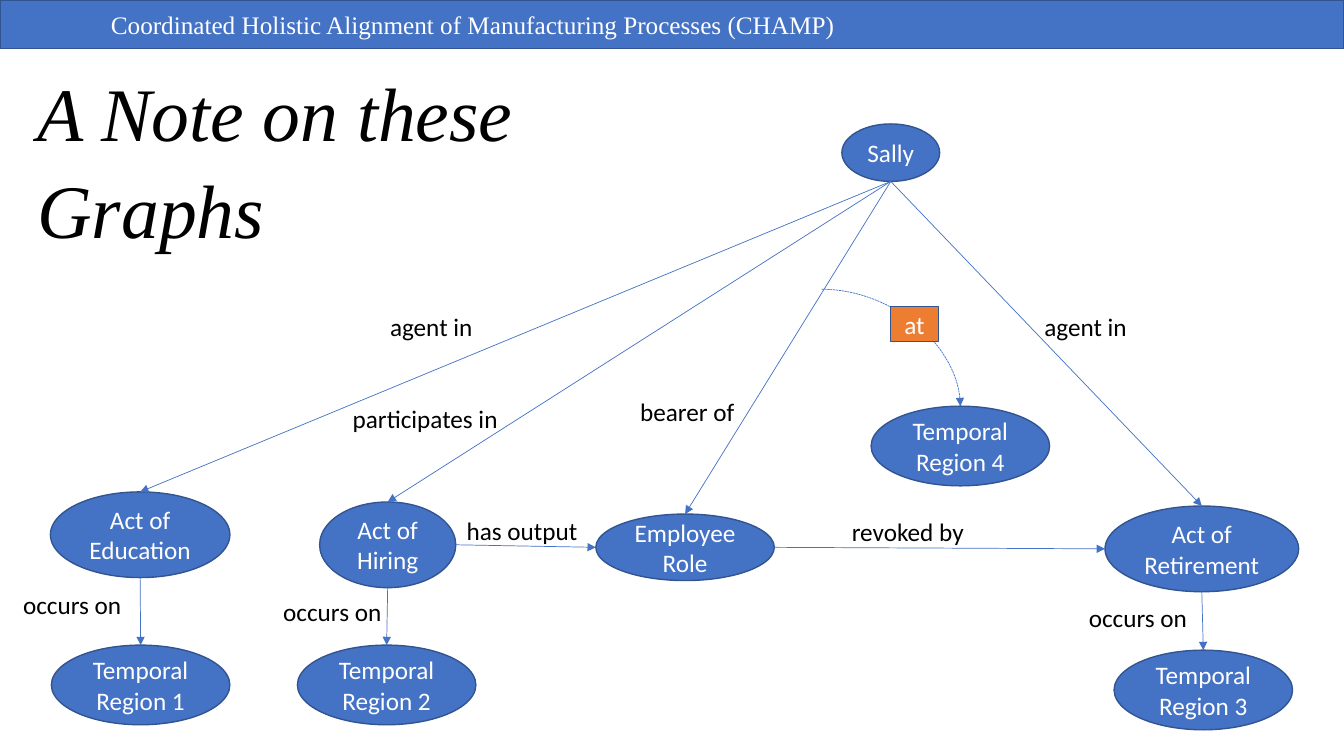
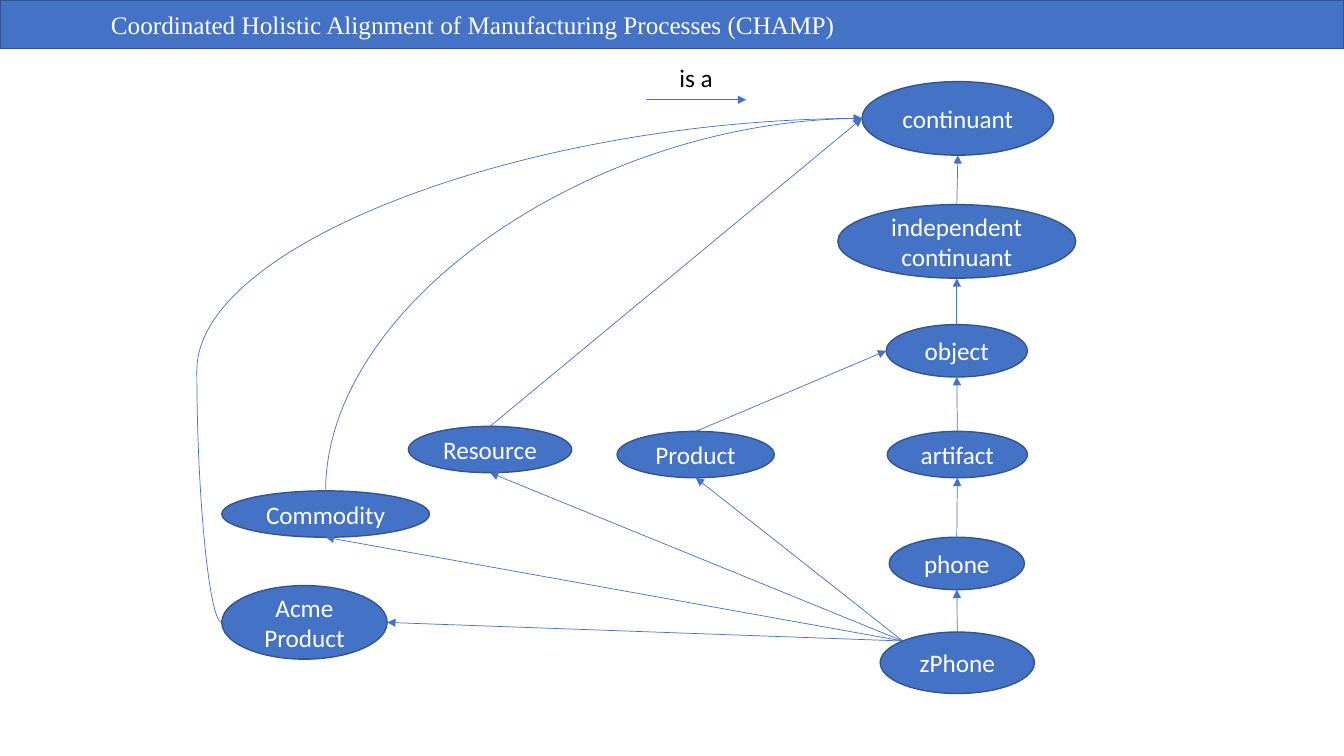
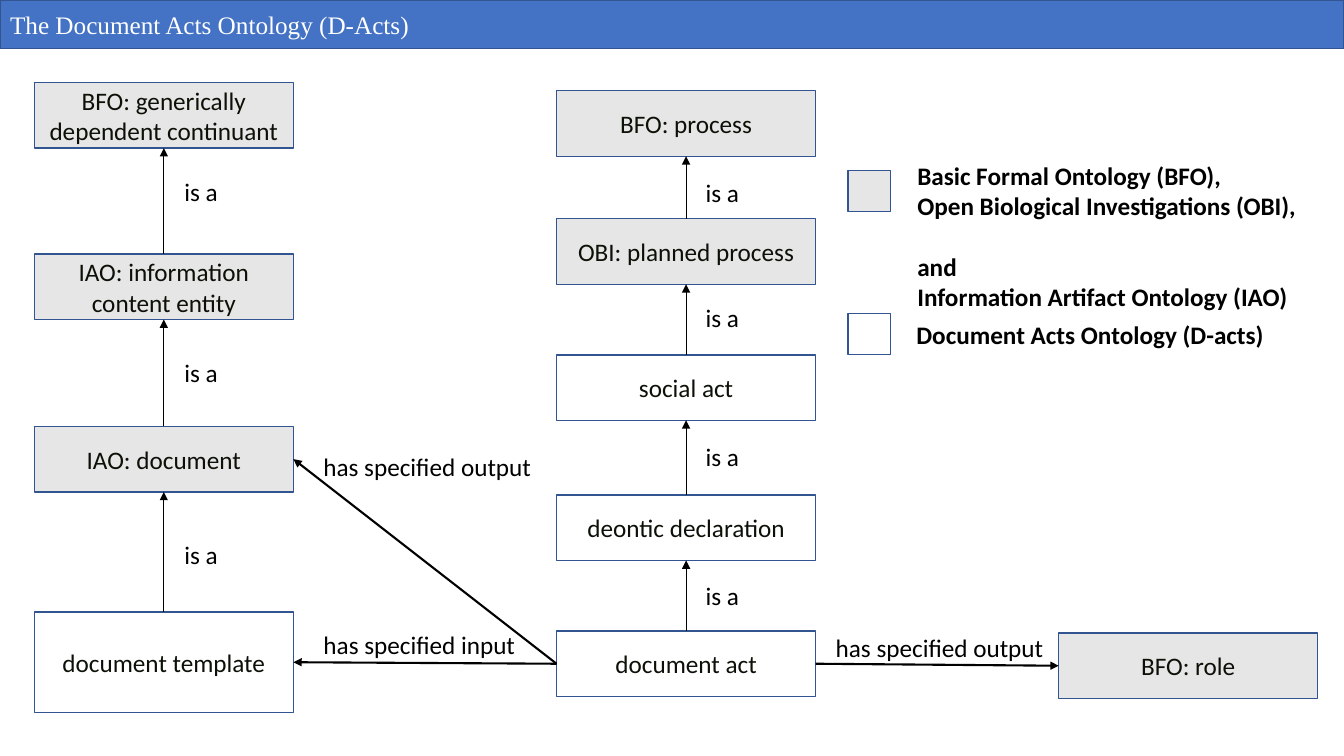
"""Build three slides of ontology graphs under a shared header band."""
import itertools

import pptx
import pptx.dml.color
import pptx.enum.dml
import pptx.enum.shapes
import pptx.enum.text
import pptx.oxml
import pptx.oxml.ns
import pptx.util

Inches = pptx.util.Inches
Pt = pptx.util.Pt
SHAPE = pptx.enum.shapes.MSO_SHAPE
CONNECTOR = pptx.enum.shapes.MSO_CONNECTOR
ALIGN = pptx.enum.text.PP_ALIGN
ANCHOR = pptx.enum.text.MSO_ANCHOR
FIT = pptx.enum.text.MSO_AUTO_SIZE

COLORS = {
    "blue": "4472C4",
    "outline": "325491",
    "orange": "ED7D31",
    "grey": "E7E6E6",
    "white": "FFFFFF",
    "black": "000000",
    "ink": "0B1107",
}
SANS, SERIF = "Calibri", "Times New Roman"
PROJECT = "Coordinated Holistic Alignment of Manufacturing Processes (CHAMP)"
SIDES = {
    "top": (0.5, 0),
    "corner": (0.146, 0.146),
    "left": (0, 0.5),
    "bottom": (0.5, 1),
    "right": (1, 0.5),
}
SITES = {
    SHAPE.OVAL: {"top": 0, "corner": 1, "left": 2, "bottom": 4, "right": 6},
    SHAPE.RECTANGLE: {"top": 0, "left": 1, "bottom": 2, "right": 3},
}


def rgb(name):
    return pptx.dml.color.RGBColor.from_string(COLORS[name])


def place(sp, x, y, w, h):
    sp.left, sp.top, sp.width, sp.height = (Inches(v) for v in (x, y, w, h))


def write(tf, text, color, size=18, font=SANS, align=ALIGN.LEFT, bold=False, italic=False):
    tf.text = text
    for p in tf.paragraphs:
        p.alignment = align
        for r in p.runs:
            r.font.name, r.font.size = font, Pt(size)
            r.font.bold, r.font.italic = bold, italic
            r.font.color.rgb = rgb(color)


def paint(sp, fill):
    sp.fill.solid()
    sp.fill.fore_color.rgb = rgb(fill)
    sp.line.color.rgb = rgb("outline")
    sp.line.width = Pt(1)


def shape(s, kind, at, fill="blue", text="", color="white"):
    sp = s.shapes.add_shape(kind, *(Inches(v) for v in at))
    sp.shadow.inherit = False
    paint(sp, fill)
    sp.text_frame.word_wrap = True
    sp.text_frame.vertical_anchor = ANCHOR.MIDDLE
    if text:
        write(sp.text_frame, text, color, align=ALIGN.CENTER)
    return sp


def ellipses(s, nodes):
    return {text: shape(s, SHAPE.OVAL, at, text=text) for text, at in nodes.items()}


def band(sp, text, indent=0):
    place(sp, 0, 0, 13.33, 0.48)
    paint(sp, "blue")
    tf = sp.text_frame
    tf.auto_size = FIT.NONE
    tf.vertical_anchor = ANCHOR.MIDDLE
    tf.margin_left = Inches(0.1 + indent)
    write(tf, text, "white", font=SERIF)


def label(s, text, x, y, w, h=0.4, wrap=False, bold=False):
    tf = s.shapes.add_textbox(*(Inches(v) for v in (x, y, w, h))).text_frame
    tf.word_wrap = wrap
    tf.auto_size = FIT.SHAPE_TO_FIT_TEXT
    write(tf, text, "black", bold=bold)
    return tf


def point(end):
    """Return the position of a (shape, side) pair or of a plain (x, y) pair."""
    if not isinstance(end[1], str):
        return Inches(end[0]), Inches(end[1])
    sp, side = end
    fx, fy = SIDES[side]
    return int(sp.left + fx * sp.width), int(sp.top + fy * sp.height)


def arrow(s, start, end, color="blue", width=0.5, kind=CONNECTOR.STRAIGHT, tip="tailEnd"):
    c = s.shapes.add_connector(kind, *point(start), *point(end))
    c.line.color.rgb = rgb(color)
    c.line.width = Pt(width)
    glue = c.element.nvCxnSpPr.cNvCxnSpPr
    for target, add in ((start, glue.get_or_add_stCxn), (end, glue.get_or_add_endCxn)):
        if isinstance(target[1], str):
            sp, side = target
            site = add()
            site.id, site.idx = sp.shape_id, SITES[sp.auto_shape_type][side]
    ns = pptx.oxml.ns.nsdecls("a")
    c.line._get_or_add_ln().append(pptx.oxml.parse_xml(f'<a:{tip} {ns} type="triangle"/>'))
    c.element.spPr.append(pptx.oxml.parse_xml(f"<a:effectLst {ns}/>"))
    return c


def curve(s, start, end, bend=None, tip="tailEnd"):
    """Add a quarter curve, or an S curve when a bend is given."""
    c = arrow(s, start, end, kind=CONNECTOR.CURVE, tip=tip)
    geom = c.element.spPr.find(pptx.oxml.ns.qn("a:prstGeom"))
    if bend is None:
        geom.set("prst", "curvedConnector2")
    else:
        guide = f'<a:gd {pptx.oxml.ns.nsdecls("a")} name="adj1" fmla="val {bend}"/>'
        geom.get_or_add_avLst().append(pptx.oxml.parse_xml(guide))
    return c


def employment_slide(s):
    title = s.shapes.title
    place(title, 0.27, 0.54, 7.26, 2.83)
    tf = title.text_frame
    tf.auto_size, tf.vertical_anchor = FIT.NONE, ANCHOR.TOP
    write(tf, "A Note on these Graphs", "black", 54, SERIF, italic=True)
    tf.paragraphs[0].line_spacing = 1.07
    band(shape(s, SHAPE.RECTANGLE, (0, 0, 13.33, 0.48)), PROJECT, indent=1)

    n = ellipses(s, {
        "Sally": (8.35, 1.23, 0.97, 0.57),
        "Act of Education": (0.5, 4.88, 1.78, 0.85),
        "Act of Hiring": (3.17, 4.98, 1.35, 0.85),
        "Employee Role": (5.91, 5.1, 1.77, 0.66),
        "Act of Retirement": (10.96, 5.02, 1.92, 0.85),
        "Temporal Region 1": (0.51, 6.4, 1.77, 0.79),
        "Temporal Region 2": (2.95, 6.4, 1.77, 0.79),
        "Temporal Region 3": (11.05, 6.45, 1.77, 0.79),
        "Temporal Region 4": (8.64, 4.03, 1.77, 0.79),
    })
    for act in ("Act of Education", "Act of Hiring", "Employee Role", "Act of Retirement"):
        arrow(s, (n["Sally"], "bottom"), (n[act], "top"))
    for i, act in enumerate(("Education", "Hiring", "Retirement"), 1):
        arrow(s, (n[f"Act of {act}"], "bottom"), (n[f"Temporal Region {i}"], "top"))
    for a, b in (("Act of Hiring", "Employee Role"), ("Employee Role", "Act of Retirement")):
        arrow(s, (n[a], "right"), (n[b], "left"))
    when = curve(s, (8.15, 2.87), (n["Temporal Region 4"], "top"))
    when.line.dash_style = pptx.enum.dml.MSO_LINE.SQUARE_DOT
    shape(s, SHAPE.RECTANGLE, (8.83, 3.04, 0.48, 0.35), "orange", "at")

    for text, x, y, w in (
        ("agent in", 3.77, 3.04, 1.03),
        ("participates in", 3.4, 3.95, 1.66),
        ("bearer of", 6.25, 3.88, 1.15),
        ("agent in", 10.26, 3.04, 1.03),
        ("has output", 4.53, 5.06, 1.31),
        ("revoked by", 8.35, 5.07, 1.33),
        ("occurs on", 0.13, 5.8, 1.19),
        ("occurs on", 2.71, 5.87, 1.19),
        ("occurs on", 10.7, 5.93, 1.19),
    ):
        label(s, text, x, y, w)


def phone_slide(s):
    band(s.shapes.title, PROJECT, indent=1)
    chain = ellipses(s, {
        "zPhone": (8.73, 6.27, 1.53, 0.61),
        "phone": (8.82, 5.33, 1.34, 0.52),
        "artifact": (8.8, 4.28, 1.39, 0.46),
        "object": (8.79, 3.22, 1.4, 0.52),
        "independent continuant": (8.31, 2.03, 2.36, 0.73),
        "continuant": (8.55, 0.81, 1.9, 0.73),
    })
    for lower, upper in itertools.pairwise(chain.values()):
        arrow(s, (lower, "top"), (upper, "bottom"))

    roles = ellipses(s, {
        "Product": (6.12, 4.28, 1.56, 0.46),
        "Resource": (4.05, 4.23, 1.62, 0.46),
        "Commodity": (2.2, 4.87, 2.06, 0.46),
        "Acme Product": (2.2, 5.81, 1.64, 0.73),
    })
    for text, sp in roles.items():
        side = "right" if text == "Acme Product" else "bottom"
        arrow(s, (chain["zPhone"], "corner"), (sp, side))
    root = (chain["continuant"], "left")
    arrow(s, (roles["Product"], "top"), (chain["object"], "left"))
    arrow(s, (roles["Resource"], "top"), root)
    curve(s, root, (roles["Commodity"], "top"), tip="headEnd")
    curve(s, (roles["Acme Product"], "left"), root, bend=-3900)

    arrow(s, (6.41, 0.99), (7.4, 0.99))
    label(s, "is a", 6.64, 0.57, 0.54)


def box(s, text, x, y, h=0.65):
    fill = "grey" if text.startswith(("BFO", "OBI", "IAO")) else "white"
    return shape(s, SHAPE.RECTANGLE, (x, y, 2.57, h), fill, text, "ink")


def ladder(s, boxes, label_x, label_tops):
    for lower, upper in itertools.pairwise(boxes):
        arrow(s, (lower, "top"), (upper, "bottom"), "black")
    for y in label_tops:
        label(s, "is a", label_x, y, 0.54)


def documents_slide(s):
    band(s.shapes.title, "The Document Acts Ontology (D-Acts)")
    acts = [box(s, text, 5.52, y) for text, y in (
        ("document act", 6.26),
        ("deontic declaration", 4.91),
        ("social act", 3.52),
        ("OBI: planned process", 2.17),
        ("BFO: process", 0.9),
    )]
    template = box(s, "document template", 0.34, 6.07, 1)
    entities = [box(s, text, 0.34, y) for text, y in (
        ("IAO: document", 4.23),
        ("IAO: information content entity", 2.52),
        ("BFO: generically dependent continuant", 0.82),
    )]
    role = box(s, "BFO: role", 10.5, 6.28)
    ladder(s, acts, 6.9, (1.71, 2.95, 4.33, 5.71))
    ladder(s, [template, *entities], 1.73, (1.7, 3.5, 5.3))
    for side, end in (
        ("left", (template, "right")),
        ("left", (entities[0], "right")),
        ("right", (role, "left")),
    ):
        arrow(s, (acts[0], side), end, "black", 1.5)
    label(s, "has specified input", 3.11, 6.19, 2.98, wrap=True)
    label(s, "has specified output", 3.11, 4.43, 2.77, wrap=True)
    label(s, "has specified output", 8.19, 6.22, 2.39, wrap=True)

    for fill, y in (("grey", 1.69), ("white", 3.11)):
        shape(s, SHAPE.RECTANGLE, (8.41, y, 0.42, 0.41), fill)
    sources = (
        "Basic Formal Ontology (BFO),",
        "Open Biological Investigations (OBI),",
        "and",
        "Information Artifact Ontology (IAO)",
    )
    tf = label(s, "\n".join(sources), 9, 1.54, 4.06, 1.31, wrap=True, bold=True)
    tf.paragraphs[1].space_after = Pt(22)
    label(s, "Document Acts Ontology (D-acts)", 8.99, 3.12, 3.68, bold=True)


def main():
    prs = pptx.Presentation()
    prs.slide_width, prs.slide_height = Inches(13.33), Inches(7.5)
    for build in (employment_slide, phone_slide, documents_slide):
        build(prs.slides.add_slide(prs.slide_layouts[5]))
    prs.save("out.pptx")


if __name__ == "__main__":
    main()
